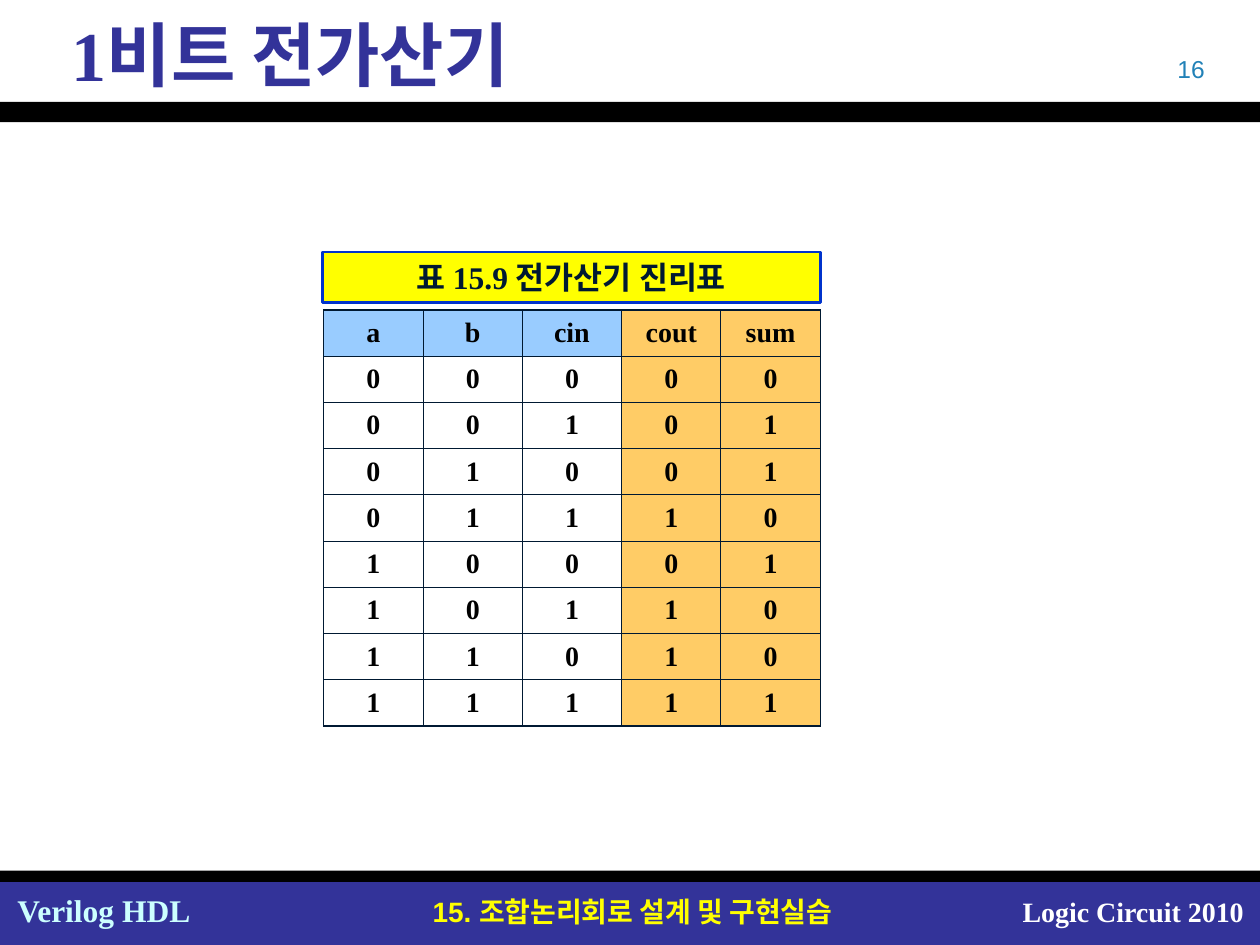
from itertools import product

from lxml import etree
from pptx import Presentation
from pptx import util as u
from pptx.dml.color import RGBColor
from pptx.enum import shapes, text
from pptx.oxml import ns

COLORS = {
    "indigo": "333399",
    "black": "000000",
    "white": "FFFFFF",
    "yellow": "FFFF00",
    "pale cyan": "CCFFFF",
    "number": "2181B7",
    "input": "99CCFF",
    "output": "FFCC66",
    "caption line": "0033CC",
    "ink": "001932",
}
SERIF = "Times New Roman"
SANS = "Arial"
LEFT, CENTER, RIGHT = text.PP_ALIGN.LEFT, text.PP_ALIGN.CENTER, text.PP_ALIGN.RIGHT
TOP, MIDDLE = text.MSO_ANCHOR.TOP, text.MSO_ANCHOR.MIDDLE


def rgb(name):
    return RGBColor.from_string(COLORS[name])


def write(frame, wording, size, color, font=SERIF, bold=True, align=LEFT):
    para = frame.paragraphs[0]
    para.text = wording
    para.alignment = align
    para.font.size = u.Pt(size)
    para.font.name = font
    para.font.bold = bold
    para.font.color.rgb = rgb(color)
    return para


def add_bar(page, left, top, width, height, color, line=None):
    bar = page.shapes.add_shape(
        shapes.MSO_SHAPE.RECTANGLE,
        u.Inches(left), u.Inches(top), u.Inches(width), u.Inches(height))
    bar.shadow.inherit = False
    bar.fill.solid()
    bar.fill.fore_color.rgb = rgb(color)
    if line:
        bar.line.color.rgb = rgb(line)
        bar.line.width = u.Pt(1.5)
    else:
        bar.line.fill.background()
    return bar


def add_label(page, left, top, width, height, wording, size, color,
              anchor=TOP, **style):
    box = page.shapes.add_textbox(
        u.Inches(left), u.Inches(top), u.Inches(width), u.Inches(height))
    frame = box.text_frame
    frame.word_wrap = True
    frame.vertical_anchor = anchor
    write(frame, wording, size, color, **style)
    return frame


def add_header(page, left, top, width):
    title = add_label(page, left + 0.17, top + 0.1, width - 0.33, 0.65,
                      "1비트 전가산기", 40, "indigo", anchor=MIDDLE)
    title.margin_left = u.Inches(0.4)
    add_label(page, left + 7.33, top + 0.38, 2.33, 0.33, "16", 14, "number",
              font=SANS, bold=False, align=RIGHT)
    add_bar(page, left, top + 0.81, width, 0.16, "black")


def add_footer(page, left, top, width):
    add_bar(page, left, top + 0.09, width, 0.5, "indigo")
    add_bar(page, left, top, width, 0.09, "black")
    course = add_label(page, left + 0.04, top + 0.11, 1.58, 0.4,
                       "Verilog HDL", 18, "pale cyan")
    course.margin_right = u.Inches(0.02)
    add_label(page, left + 3.07, top + 0.14, 3.9, 0.37,
              "15. 조합논리회로 설계 및 구현실습", 16, "yellow",
              font=SANS, align=CENTER)
    add_label(page, left + 7.88, top + 0.14, 2.09, 0.37,
              "Logic Circuit 2010", 16, "white", align=RIGHT)


def set_borders(cell, color, width):
    properties = cell._tc.get_or_add_tcPr()
    for side in ("lnL", "lnR", "lnT", "lnB"):
        line = etree.SubElement(properties, ns.qn(f"a:{side}"), w=str(u.Pt(width)))
        fill = etree.SubElement(line, ns.qn("a:solidFill"))
        etree.SubElement(fill, ns.qn("a:srgbClr"), val=COLORS[color])


def full_adder_rows():
    """Header, then a, b, cin with the carry and sum of their total."""
    rows = [("a", "b", "cin", "cout", "sum")]
    for bits in product((0, 1), repeat=3):
        rows.append((*bits, *divmod(sum(bits), 2)))
    return rows


def add_truth_table(page, left, top, width, height):
    rows = full_adder_rows()
    inputs = 3
    table = page.shapes.add_table(
        len(rows), len(rows[0]),
        u.Inches(left), u.Inches(top), u.Inches(width), u.Inches(height)).table
    table.first_row = table.horz_banding = False
    for column in table.columns:
        column.width = u.Inches(width / len(rows[0]))
    for r, row in enumerate(rows):
        table.rows[r].height = u.Inches(height / len(rows))
        for c, value in enumerate(row):
            cell = table.cell(r, c)
            cell.vertical_anchor = MIDDLE
            write(cell.text_frame, str(value), 16, "black", align=CENTER)
            set_borders(cell, "ink", 0.75)
            if c < inputs and r > 0:
                cell.fill.background()
            else:
                cell.fill.solid()
                cell.fill.fore_color.rgb = rgb("input" if c < inputs else "output")


def add_captioned_table(page, left, top, width):
    add_truth_table(page, left + 0.01, top + 0.46, width - 0.01, 3.3)
    caption = add_bar(page, left, top, width, 0.4, "yellow", line="caption line")
    caption.text_frame.vertical_anchor = MIDDLE
    write(caption.text_frame, "표 15.9 전가산기 진리표", 18, "ink", align=CENTER)


def main():
    deck = Presentation()
    deck.slide_width, deck.slide_height = u.Inches(10), u.Inches(7.5)
    page = deck.slides.add_slide(deck.slide_layouts[6])
    add_footer(page, 0, 6.91, 10)
    add_header(page, 0, 0, 10)
    add_captioned_table(page, 2.56, 2, 3.95)
    deck.save("out.pptx")


if __name__ == "__main__":
    main()
